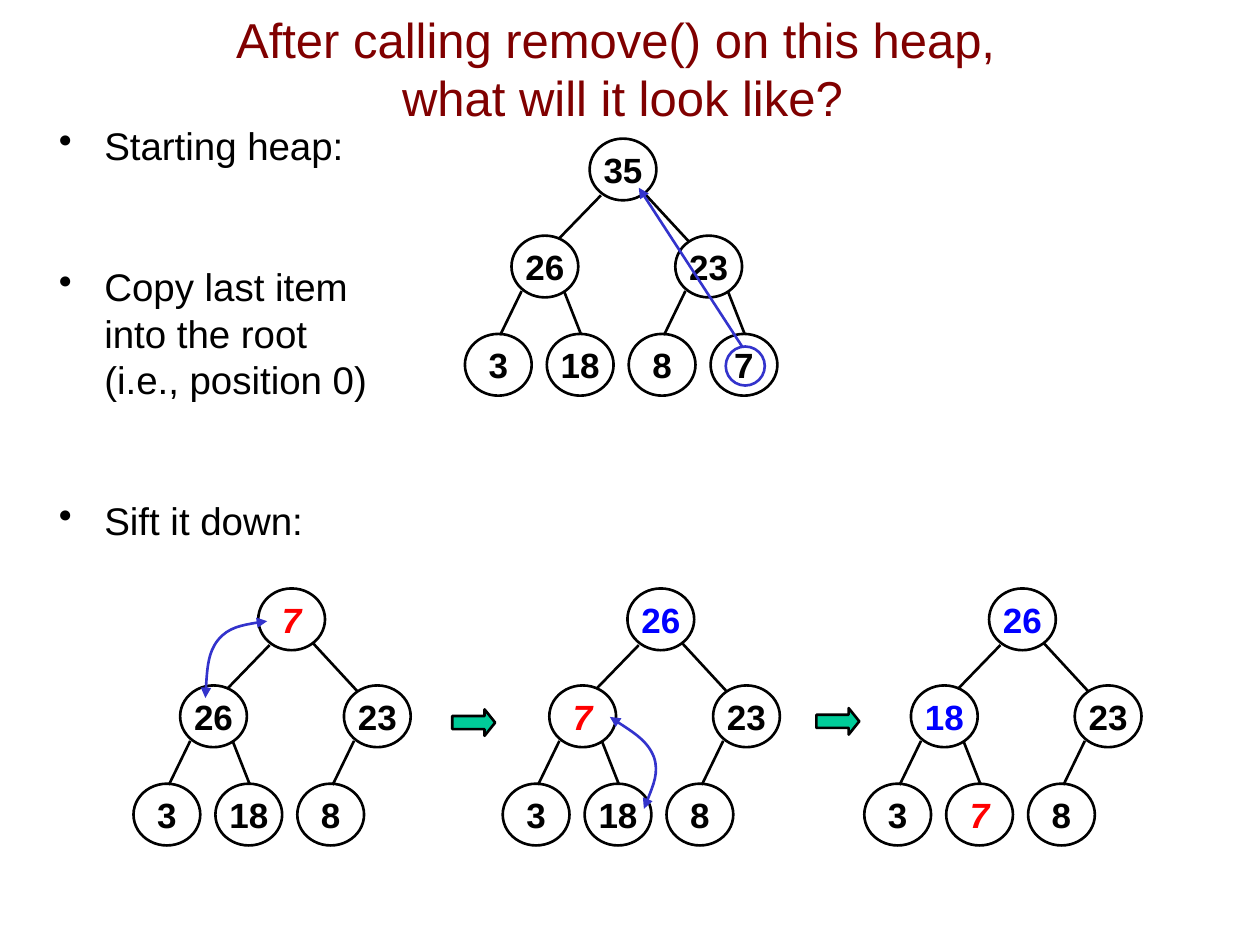
from pptx import Presentation
from pptx.dml.color import RGBColor
from pptx.enum import shapes, text
from pptx.oxml.ns import qn
from pptx.util import Inches, Pt
from lxml import etree

BLACK = RGBColor(0x00, 0x00, 0x00)
MAROON = RGBColor(0x80, 0x00, 0x00)
RED = RGBColor(0xFF, 0x00, 0x00)
BLUE = RGBColor(0x00, 0x00, 0xFF)
INDIGO = RGBColor(0x33, 0x33, 0xCC)
GREEN = RGBColor(0x00, 0xCC, 0x99)

FONT = "Arial"
NODE_W, NODE_H = 0.53, 0.49

# Offsets from the top left of the root, in level order
NODES = [(0, 0), (-0.62, 0.77), (0.68, 0.77)] + [
    (-0.99 + 0.65 * i, 1.55) for i in range(4)]
LEAF_EDGES = [(-0.54, 1.21, -0.71, 1.56), (-0.2, 1.22, -0.07, 1.55)]
SIBLING_GAP = 1.3
EDGES = [(0.09, 0.45, -0.24, 0.79), (0.43, 0.43, 0.79, 0.82)] + LEAF_EDGES + [
    (x1 + SIBLING_GAP, y1, x2 + SIBLING_GAP, y2) for x1, y1, x2, y2 in LEAF_EDGES]


def set_line(sp, color, *arrow_ends):
    sp.line.color.rgb = color
    sp.line.width = Pt(1.5)
    for end in arrow_ends:
        etree.SubElement(sp.line._get_or_add_ln(), qn("a:" + end), type="triangle")


def set_font(p, size, color, bold=False, italic=False):
    p.font.name, p.font.size = FONT, Pt(size)
    p.font.bold, p.font.italic = bold, italic
    p.font.color.rgb = color


def add_text_box(slide, left, top, width, height):
    tf = slide.shapes.add_textbox(*map(Inches, (left, top, width, height))).text_frame
    tf.word_wrap = True
    return tf


def add_title(slide, title):
    tf = add_text_box(slide, 0.64, 0.08, 8.6, 0.93)
    tf.vertical_anchor = text.MSO_ANCHOR.MIDDLE
    p = tf.paragraphs[0]
    p.text = title
    p.alignment = text.PP_ALIGN.CENTER
    p.line_spacing = Pt(33)
    set_font(p, 28, MAROON)


def add_bullets(slide, items):
    tf = add_text_box(slide, 0.37, 0.92, 9.63, 6.14)
    for i, item in enumerate(items):
        p = tf.add_paragraph() if i else tf.paragraphs[0]
        p.text = item
        p.line_spacing = Pt(26.5)
        p.space_before = Pt(54 if i else 0)
        set_font(p, 22, BLACK)
        pPr = p._p.get_or_add_pPr()
        pPr.set("marL", str(Inches(0.36)))
        pPr.set("indent", str(Inches(-0.36)))
        bullet = etree.Element(qn("a:buChar"), char="•")
        pPr.find(qn("a:defRPr")).addprevious(bullet)


def add_shape(slide, kind, box, color):
    sp = slide.shapes.add_shape(kind, *map(Inches, box))
    sp.shadow.inherit = False
    sp.fill.background()
    set_line(sp, color)
    return sp


def add_node(slide, x, y, value, color):
    sp = add_shape(slide, shapes.MSO_SHAPE.OVAL, (x, y, NODE_W, NODE_H), BLACK)
    tf = sp.text_frame
    tf.margin_left = tf.margin_right = tf.margin_top = tf.margin_bottom = 0
    tf.vertical_anchor = text.MSO_ANCHOR.MIDDLE
    p = tf.paragraphs[0]
    p.text = str(value)
    p.alignment = text.PP_ALIGN.CENTER
    set_font(p, 20, color, bold=True, italic=color == RED)


def add_line(slide, x1, y1, x2, y2, color, *arrow_ends):
    line = slide.shapes.add_connector(
        shapes.MSO_CONNECTOR.STRAIGHT, *map(Inches, (x1, y1, x2, y2)))
    set_line(line, color, *arrow_ends)
    etree.SubElement(line._element.spPr, qn("a:effectLst"))


def add_heap(slide, x, y, values, moving=None, settled=()):
    """Draw a heap given in level order; moving and settled are node indexes."""
    for i, (value, (dx, dy)) in enumerate(zip(values, NODES)):
        color = RED if i == moving else BLUE if i in settled else BLACK
        add_node(slide, x + dx, y + dy, value, color)
    for x1, y1, x2, y2 in EDGES[:len(values) - 1]:
        add_line(slide, x + x1, y + y1, x + x2, y + y2, BLACK)


def add_swap_curve(slide, points):
    """Draw a two-headed Bezier curve: a start, then three points a segment."""
    pts = [(Inches(x), Inches(y)) for x, y in points]
    builder = slide.shapes.build_freeform(*pts[0])
    builder.add_line_segments(pts[1:], close=False)
    sp = builder.convert_to_shape()
    sp.shadow.inherit = False
    sp.fill.background()
    set_line(sp, INDIGO, "headEnd", "tailEnd")
    # Turn each three straight segments into one cubic segment
    segments = list(sp._element.iter(qn("a:lnTo")))
    for i in range(0, len(segments), 3):
        cubic = etree.Element(qn("a:cubicBezTo"))
        segments[i].addprevious(cubic)
        for segment in segments[i:i + 3]:
            cubic.append(segment[0])
            segment.getparent().remove(segment)


def add_step_arrow(slide, x, y):
    sp = add_shape(slide, shapes.MSO_SHAPE.RIGHT_ARROW, (x, y, 0.34, 0.21), BLACK)
    sp.adjustments[1] = 0.4
    sp.fill.solid()
    sp.fill.fore_color.rgb = GREEN


def main():
    prs = Presentation()
    prs.slide_width, prs.slide_height = Inches(10), Inches(7.5)
    slide = prs.slides.add_slide(prs.slide_layouts[6])

    add_title(slide, "After calling remove() on this heap, \vwhat will it look like?")
    add_bullets(slide, [
        "Starting heap:",
        "Copy last item\vinto the root\v(i.e., position 0)",
        "Sift it down:",
    ])

    # Starting heap, with the last item copied into the root
    add_heap(slide, 4.68, 1.1, [35, 26, 23, 3, 18, 8, 7])
    add_line(slide, 5.89, 2.75, 5.07, 1.49, INDIGO, "tailEnd")
    add_shape(slide, shapes.MSO_SHAPE.OVAL, (5.76, 2.75, 0.31, 0.31), INDIGO)

    # Sifting down, step by step
    add_heap(slide, 2.05, 4.67, [7, 26, 23, 3, 18, 8], moving=0)
    add_heap(slide, 4.98, 4.67, [26, 7, 23, 3, 18, 8], moving=1, settled=[0])
    add_heap(slide, 7.85, 4.67, [26, 18, 23, 3, 7, 8], moving=4, settled=[0, 1])
    add_step_arrow(slide, 3.59, 5.63)
    add_step_arrow(slide, 6.48, 5.62)

    # Swaps between parent and child
    add_swap_curve(slide, [(1.63, 5.54), (1.64, 5.36), (1.65, 5.18), (1.73, 5.08),
                           (1.81, 4.98), (1.97, 4.95), (2.12, 4.93)])
    add_swap_curve(slide, [(4.84, 5.69), (4.99, 5.79), (5.14, 5.88), (5.19, 6.01),
                           (5.23, 6.13), (5.17, 6.27), (5.11, 6.42)])

    prs.save("out.pptx")


if __name__ == "__main__":
    main()
